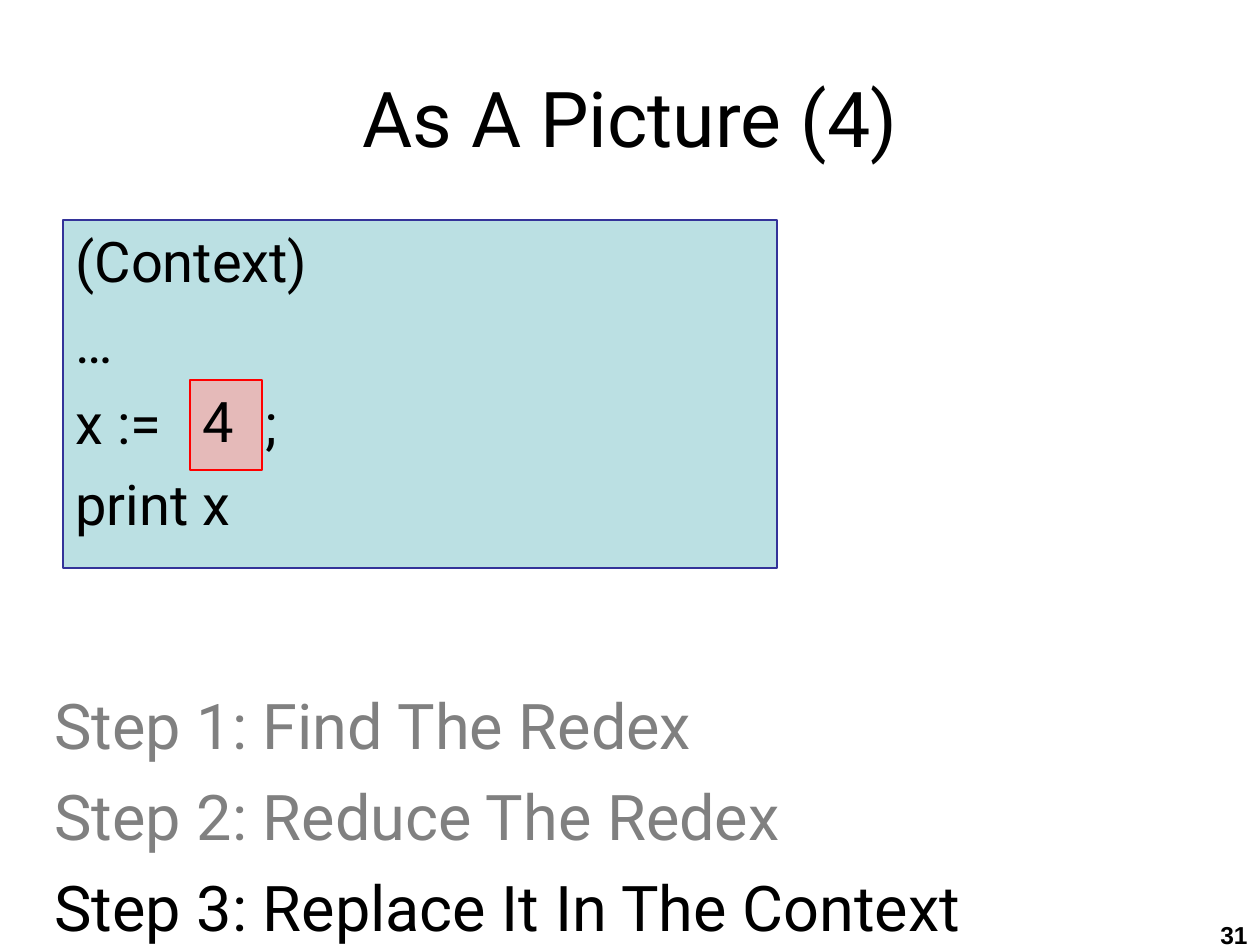
from pptx import Presentation
from pptx.dml.color import RGBColor
from pptx.enum.shapes import MSO_SHAPE
from pptx.enum.text import MSO_ANCHOR, PP_ALIGN
from pptx.oxml import parse_xml
from pptx.oxml.ns import nsdecls
from pptx.util import Pt

RECTANGLE = MSO_SHAPE.RECTANGLE
TOP, MIDDLE = MSO_ANCHOR.TOP, MSO_ANCHOR.MIDDLE
LEFT, CENTER, RIGHT = PP_ALIGN.LEFT, PP_ALIGN.CENTER, PP_ALIGN.RIGHT

BLACK = RGBColor(0, 0, 0)
GRAY = RGBColor(0x80, 0x80, 0x80)
PALE_TEAL = RGBColor(0xBB, 0xE0, 0xE3)
NAVY = RGBColor(0x33, 0x33, 0x99)
PINK = RGBColor(0xE5, 0xBA, 0xB9)
RED = RGBColor(0xFF, 0, 0)

PX = 914400 // 126  # EMU per px


def write(shape, lines, size, font="Roboto", colors=(BLACK,), bold=False,
          align=LEFT, anchor=TOP, gap=0, tab=None, wrap=True):
    """Fill a shape with one paragraph per line; the last color carries on."""
    frame = shape.text_frame
    frame.word_wrap = wrap
    frame.vertical_anchor = anchor
    for i, line in enumerate(lines):
        paragraph = frame.add_paragraph() if i else frame.paragraphs[0]
        paragraph.text = line
        paragraph.alignment = align
        if i:
            paragraph.space_before = Pt(gap)
        if tab and "\t" in line:
            paragraph._p.get_or_add_pPr().append(parse_xml(
                f'<a:tabLst {nsdecls("a")}><a:tab pos="{tab * PX}" algn="l"/></a:tabLst>'))
        paragraph.font.size = Pt(size)
        paragraph.font.name = font
        paragraph.font.bold = bold
        paragraph.font.color.rgb = colors[min(i, len(colors) - 1)]


def add_panel(left, top, width, height, fill, line):
    panel = slide.shapes.add_shape(
        RECTANGLE, left * PX, top * PX, width * PX, height * PX)
    panel.shadow.inherit = False
    panel.fill.solid()
    panel.fill.fore_color.rgb = fill
    panel.line.color.rgb = line
    panel.line.width = Pt(0.75)
    return panel


prs = Presentation()
prs.slide_width, prs.slide_height = 1260 * PX, 945 * PX
slide = prs.slides.add_slide(prs.slide_layouts[5])

# Title
title = slide.shapes.title
title.left, title.top, title.width, title.height = 63 * PX, 38 * PX, 1134 * PX, 157 * PX
write(title, ["As A Picture (4)"], 44, align=CENTER, anchor=MIDDLE)

# Context program, with the semicolon set just past the reduced value
context = add_panel(63, 220, 714, 348, PALE_TEAL, NAVY)
write(context, ["(Context)", "…", "x :=\t;", "print x"], 32, gap=8, tab=190)

# Reduced value placed in the gap
value = add_panel(190, 380, 72, 90, PINK, RED)
write(value, ["4"], 32, wrap=False)

# Steps, with the current one in black
steps = slide.shapes.add_textbox(42 * PX, 680 * PX, 1197 * PX, 231 * PX)
write(steps, ["Step 1: Find The Redex", "Step 2: Reduce The Redex",
              "Step 3: Replace It In The Context"],
      36, colors=(GRAY, GRAY, BLACK), gap=9)

# Slide number
number = slide.shapes.add_textbox(987 * PX, 914 * PX, 273 * PX, 43 * PX)
write(number, ["31"], 14, font="Arial", bold=True, align=RIGHT)

prs.save("out.pptx")
